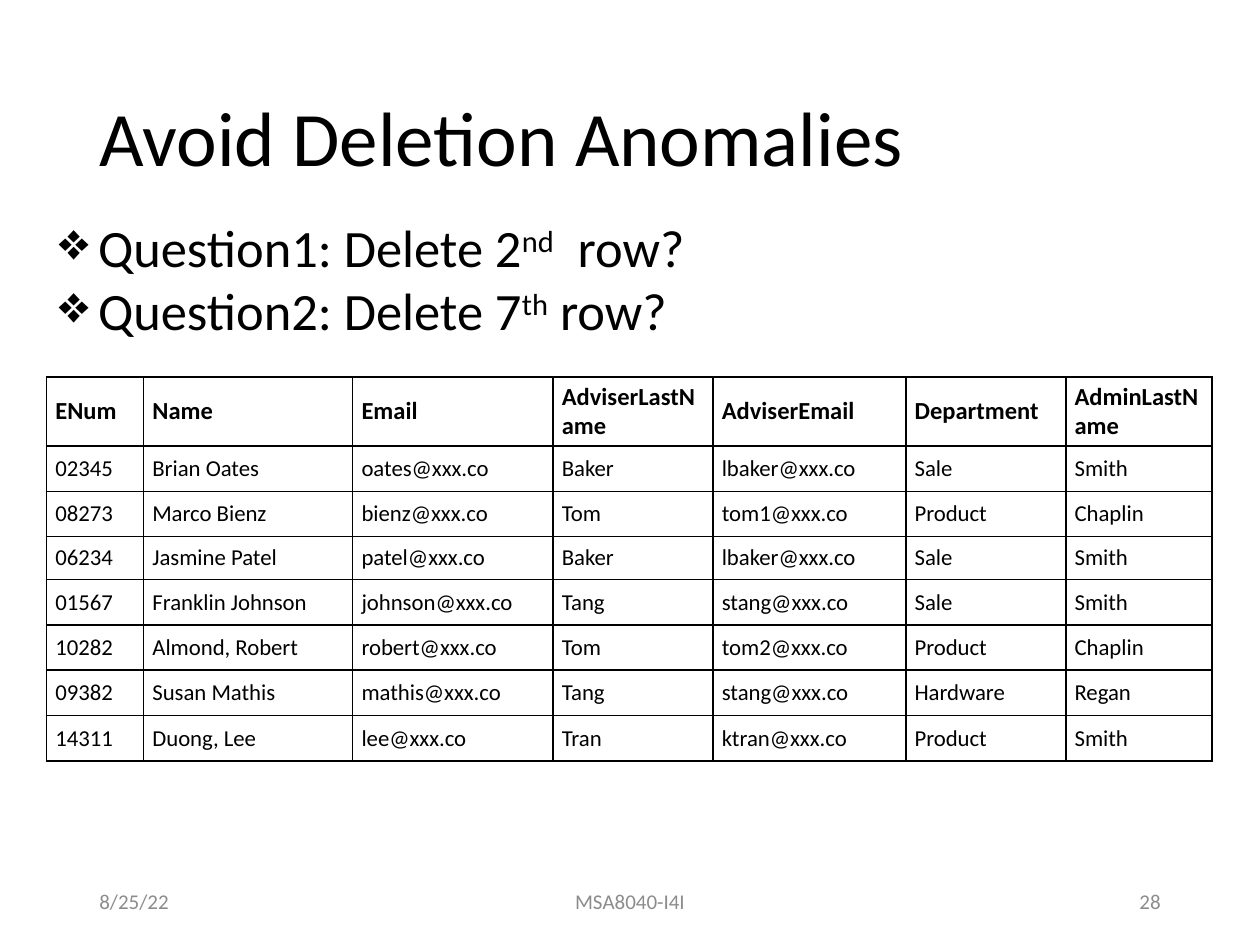
from dataclasses import dataclass

from lxml import etree
from pptx import Presentation
from pptx.dml.color import RGBColor
from pptx.enum.text import MSO_ANCHOR, PP_ALIGN
from pptx.oxml.ns import qn
from pptx.util import Inches, Pt

LEFT, CENTER, RIGHT = PP_ALIGN.LEFT, PP_ALIGN.CENTER, PP_ALIGN.RIGHT
TOP, MIDDLE = MSO_ANCHOR.TOP, MSO_ANCHOR.MIDDLE


@dataclass(frozen=True)
class Theme:
    """Colours, font and type sizes of the slide."""
    font: str = "Calibri"
    ink: str = "000000"
    muted: str = "8C8C8C"
    title: int = 44
    body: int = 30
    head: int = 14
    cell: int = 13
    foot: int = 12
    rule: int = 1


THEME = Theme()

QUESTIONS = [
    [("Question1: Delete 2", 0), ("nd", 30), ("  row?", 0)],
    [("Question2: Delete 7", 0), ("th", 30), (" row?", 0)],
]
FOOTER = [
    (0.69, 2.25, "8/25/22", LEFT),
    (3.31, 3.38, "MSA8040-I4I", CENTER),
    (7.06, 2.25, "28", RIGHT),
]
WIDTHS = [0.77, 1.66, 1.59, 1.27, 1.53, 1.27, 1.16]
HEIGHTS = [0.55, 0.36, 0.36, 0.34, 0.36, 0.36, 0.36, 0.36]
STAFF = [
    ("ENum", "Name", "Email", "AdviserLastName", "AdviserEmail", "Department", "AdminLastName"),
    ("02345", "Brian Oates", "oates@xxx.co", "Baker", "lbaker@xxx.co", "Sale", "Smith"),
    ("08273", "Marco Bienz", "bienz@xxx.co", "Tom", "tom1@xxx.co", "Product", "Chaplin"),
    ("06234", "Jasmine Patel", "patel@xxx.co", "Baker", "lbaker@xxx.co", "Sale", "Smith"),
    ("01567", "Franklin Johnson", "johnson@xxx.co", "Tang", "stang@xxx.co", "Sale", "Smith"),
    ("10282", "Almond, Robert", "robert@xxx.co", "Tom", "tom2@xxx.co", "Product", "Chaplin"),
    ("09382", "Susan Mathis", "mathis@xxx.co", "Tang", "stang@xxx.co", "Hardware", "Regan"),
    ("14311", "Duong, Lee", "lee@xxx.co", "Tran", "ktran@xxx.co", "Product", "Smith"),
]


def add_run(para, text, size, color=THEME.ink, bold=False, raised=0):
    """Append a styled run, raised by a percentage if asked."""
    run = para.add_run()
    run.text = text
    font = run.font
    font.name, font.size, font.bold = THEME.font, Pt(size), bold
    font.color.rgb = RGBColor.from_string(color)
    if raised:
        font._element.set("baseline", str(raised * 1000))


def add_box(slide, left, top, width, height, anchor=MIDDLE):
    """Add a wrapping text box and return its text frame."""
    box = slide.shapes.add_textbox(Inches(left), Inches(top), Inches(width), Inches(height))
    frame = box.text_frame
    frame.word_wrap = True
    frame.vertical_anchor = anchor
    return frame


def add_title(slide, text):
    """Add the slide heading."""
    para = add_box(slide, 0.69, 0.4, 8.62, 1.45).paragraphs[0]
    para.line_spacing = 0.9
    add_run(para, text, THEME.title)


def add_list(slide, items):
    """Add the bulleted questions."""
    frame = add_box(slide, 0.37, 1.66, 6.37, 1.11, TOP)
    for i, item in enumerate(items):
        para = frame.add_paragraph() if i else frame.paragraphs[0]
        props = para._p.get_or_add_pPr()
        props.set("marL", str(Inches(0.31)))
        props.set("indent", str(-Inches(0.31)))
        etree.SubElement(props, qn("a:buChar"), char="❖")
        for text, raised in item:
            add_run(para, text, THEME.body, raised=raised)


def add_foot(slide, left, width, text, align):
    """Add one footer field."""
    para = add_box(slide, left, 6.95, width, 0.4).paragraphs[0]
    para.alignment = align
    add_run(para, text, THEME.foot, THEME.muted)


def add_rules(cell):
    """Draw a line on each side of a cell."""
    props = cell._tc.get_or_add_tcPr()
    for i, side in enumerate(("lnL", "lnR", "lnT", "lnB")):
        line = etree.Element(qn(f"a:{side}"), w=str(Pt(THEME.rule)))
        fill = etree.SubElement(line, qn("a:solidFill"))
        etree.SubElement(fill, qn("a:srgbClr"), val=THEME.ink)
        props.insert(i, line)


def add_grid(slide, rows):
    """Add the staff table."""
    shape = slide.shapes.add_table(
        len(rows), len(WIDTHS), Inches(0.37), Inches(2.99),
        Inches(sum(WIDTHS)), Inches(sum(HEIGHTS)))
    table = shape.table
    table.horz_banding = False
    for col, width in zip(table.columns, WIDTHS):
        col.width = Inches(width)
    for r, (row, height) in enumerate(zip(rows, HEIGHTS)):
        table.rows[r].height = Inches(height)
        for c, text in enumerate(row):
            cell = table.cell(r, c)
            cell.fill.background()
            cell.vertical_anchor = MIDDLE
            cell.margin_left = cell.margin_right = Inches(0.07)
            cell.margin_top = cell.margin_bottom = Inches(0.04)
            size = THEME.cell if r else THEME.head
            add_run(cell.text_frame.paragraphs[0], text, size, bold=r == 0)
            add_rules(cell)


def main():
    """Build and save the slide."""
    deck = Presentation()
    deck.slide_width, deck.slide_height = Inches(10), Inches(7.5)
    slide = deck.slides.add_slide(deck.slide_layouts[6])
    add_title(slide, "Avoid Deletion Anomalies")
    add_list(slide, QUESTIONS)
    for field in FOOTER:
        add_foot(slide, *field)
    add_grid(slide, STAFF)
    deck.save("out.pptx")


if __name__ == "__main__":
    main()
